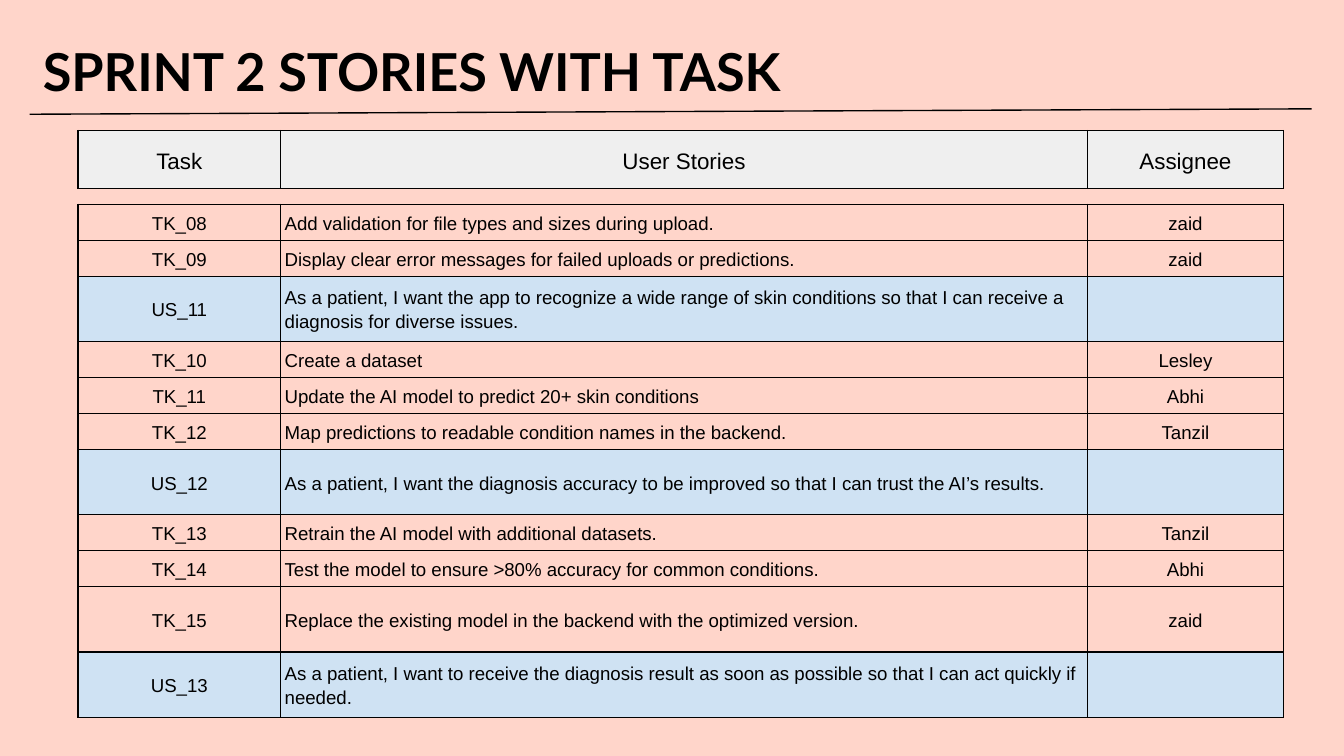
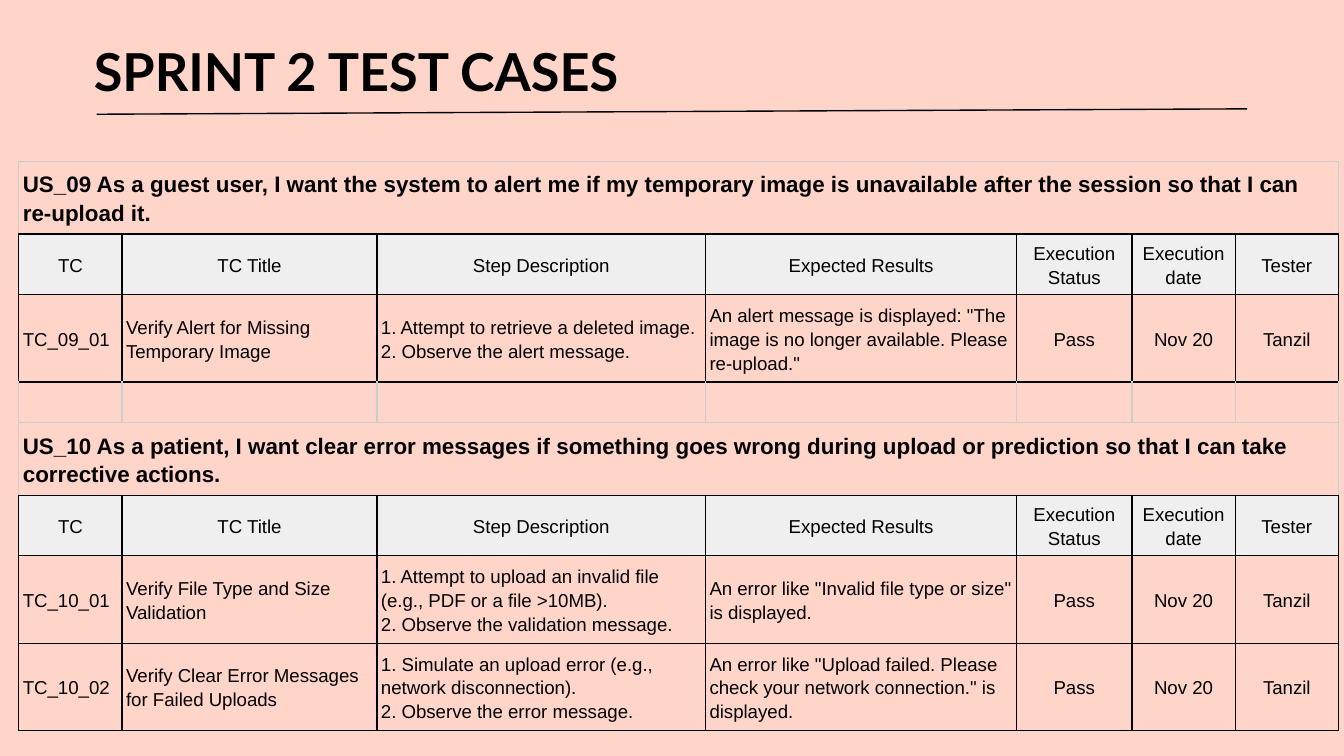
from dataclasses import dataclass

from lxml import etree
from pptx import Presentation
from pptx import util as u
from pptx.dml import color as dml
from pptx.enum import shapes, text
from pptx.oxml import ns

COLORS = {
    "background": "FFD5CA",
    "ink": "000000",
    "header": "EFEFEF",
    "story": "CFE2F3",
    "faint": "CCCCCC",
}
TITLE_FONT, BODY_FONT = "Lato", "Arial"
LINE_WIDTH = u.Pt(0.75)
CENTER, LEFT = text.PP_ALIGN.CENTER, text.PP_ALIGN.LEFT


@dataclass(frozen=True)
class RowStyle:
    height: float  # share of the table height
    fill: str = ""
    size: int = 10
    bold: bool = False
    centered: bool = False
    merged: bool = False
    faint_sides: str = ""  # sides among L, R, T, B drawn in the faint colour


@dataclass(frozen=True)
class Row:
    style: RowStyle
    values: tuple[str, ...] = ()


@dataclass(frozen=True)
class Grid:
    left: float
    top: float
    width: float
    height: float
    column_shares: tuple[float, ...]
    left_columns: tuple[int, ...]
    rows: tuple[Row, ...]


@dataclass(frozen=True)
class Heading:
    label: str
    left: float
    rule_start: float
    rule_end: float


def rgb(name: str) -> dml.RGBColor:
    return dml.RGBColor.from_string(COLORS[name])


def add_run(paragraph, content: str, font: str, size: int, bold: bool) -> None:
    run = paragraph.add_run()
    run.text = content
    run.font.name = font
    run.font.size = u.Pt(size)
    run.font.bold = bold
    run.font.color.rgb = rgb("ink")


def add_heading(slide, heading: Heading) -> None:
    box = slide.shapes.add_textbox(
        u.Inches(heading.left), u.Inches(0.19), u.Inches(8.43), u.Inches(0.63))
    frame = box.text_frame
    frame.word_wrap = True
    frame.margin_left = frame.margin_right = u.Inches(0.1)
    frame.margin_top = frame.margin_bottom = u.Inches(0.1)
    add_run(frame.paragraphs[0], heading.label, TITLE_FONT, 28, True)

    rule = slide.shapes.add_connector(
        shapes.MSO_CONNECTOR.STRAIGHT,
        u.Inches(heading.rule_start), u.Inches(0.85),
        u.Inches(heading.rule_end), u.Inches(0.81))
    rule.line.color.rgb = rgb("ink")
    rule.line.width = LINE_WIDTH
    etree.SubElement(rule._element.spPr, ns.qn("a:effectLst"))


def set_borders(cell, faint_sides: str) -> None:
    properties = cell._tc.get_or_add_tcPr()
    for index, side in enumerate("LRTB"):
        line = etree.Element(ns.qn(f"a:ln{side}"), w=str(int(LINE_WIDTH)))
        fill = etree.SubElement(line, ns.qn("a:solidFill"))
        name = "faint" if side in faint_sides else "ink"
        etree.SubElement(fill, ns.qn("a:srgbClr"), val=COLORS[name])
        properties.insert(index, line)


def fill_cell(cell, content: str, style: RowStyle, centered: bool) -> None:
    cell.vertical_anchor = text.MSO_ANCHOR.MIDDLE
    cell.margin_left = cell.margin_right = u.Inches(0.03)
    cell.margin_top = cell.margin_bottom = u.Inches(0.02)
    if style.fill:
        cell.fill.solid()
        cell.fill.fore_color.rgb = rgb(style.fill)
    else:
        cell.fill.background()
    set_borders(cell, style.faint_sides)

    frame = cell.text_frame
    for index, line in enumerate(content.split("\n")):
        paragraph = frame.add_paragraph() if index else frame.paragraphs[0]
        paragraph.alignment = CENTER if centered else LEFT
        paragraph.line_spacing = 1.15
        if line:
            add_run(paragraph, line, BODY_FONT, style.size, style.bold)
        else:
            # Keep an empty cell from growing its row
            end = etree.SubElement(paragraph._p, ns.qn("a:endParaRPr"))
            end.set("sz", str(style.size * 100))


def add_grid(slide, grid: Grid) -> None:
    columns = len(grid.column_shares)
    table = slide.shapes.add_table(
        len(grid.rows), columns, u.Inches(grid.left), u.Inches(grid.top),
        u.Inches(grid.width), u.Inches(grid.height)).table
    table.first_row = table.horz_banding = False

    # Shares fill the table's exact width and height
    across = grid.width / sum(grid.column_shares)
    down = grid.height / sum(row.style.height for row in grid.rows)
    for column, share in zip(table.columns, grid.column_shares):
        column.width = u.Inches(share * across)
    for row_index, row in enumerate(grid.rows):
        style = row.style
        table.rows[row_index].height = u.Inches(style.height * down)
        values = row.values + ("",) * (columns - len(row.values))
        for column_index, value in enumerate(values):
            centered = style.centered or column_index not in grid.left_columns
            fill_cell(table.cell(row_index, column_index), value, style, centered)
        if style.merged:
            table.cell(row_index, 0).merge(table.cell(row_index, columns - 1))


# Row styles
TASK_HEADER = RowStyle(0.43, fill="header", size=12, centered=True)
TASK = RowStyle(0.27)
TALL_TASK = RowStyle(0.49)
STORY = RowStyle(0.49, fill="story")
CASE_STORY = RowStyle(0.54, size=12, bold=True, merged=True, faint_sides="LRT")
CASE_HEADER = RowStyle(0.45, fill="header", centered=True)
CASE = RowStyle(0.65)
SPACER = RowStyle(0.3, faint_sides="LRB")

# Slide 1: stories and tasks
TASK_HEADING = Heading("SPRINT 2 STORIES WITH TASK", 0.22, 0.22, 9.76)
TASK_COLUMNS = (1.51, 6.01, 1.46)
TASK_TITLES = Grid(0.58, 0.97, 8.97, 0.43, TASK_COLUMNS, (), (
    Row(TASK_HEADER, ("Task", "User Stories", "Assignee")),
))
TASK_LIST = Grid(0.58, 1.52, 8.97, 3.82, TASK_COLUMNS, (1,), (
    Row(TASK, ("TK_08", "Add validation for file types and sizes during upload.", "zaid")),
    Row(TASK, ("TK_09", "Display clear error messages for failed uploads or predictions.",
               "zaid")),
    Row(STORY, ("US_11", "As a patient, I want the app to recognize a wide range of skin "
                "conditions so that I can receive a diagnosis for diverse issues.")),
    Row(TASK, ("TK_10", "Create a dataset", "Lesley")),
    Row(TASK, ("TK_11", "Update the AI model to predict 20+ skin conditions", "Abhi")),
    Row(TASK, ("TK_12", "Map predictions to readable condition names in the backend.",
               "Tanzil")),
    Row(STORY, ("US_12", "As a patient, I want the diagnosis accuracy to be improved "
                "so that I can trust the AI’s results.")),
    Row(TASK, ("TK_13", "Retrain the AI model with additional datasets.", "Tanzil")),
    Row(TASK, ("TK_14", "Test the model to ensure >80% accuracy for common conditions.",
               "Abhi")),
    Row(TALL_TASK, ("TK_15", "Replace the existing model in the backend with the "
                    "optimized version.", "zaid")),
    Row(STORY, ("US_13", "As a patient, I want to receive the diagnosis result as soon as "
                "possible so that I can act quickly if needed.")),
))

# Slide 2: test cases
CASE_HEADING = Heading("SPRINT 2 TEST CASES", 0.6, 0.72, 9.28)
CASE_COLUMNS = (0.77, 1.9, 2.45, 2.32, 0.86, 0.77, 0.77)
CASE_TITLES = Row(CASE_HEADER, (
    "TC", "TC Title", "Step Description", "Expected Results",
    "Execution Status", "Execution date", "Tester"))
OUTCOME = ("Pass", "Nov 20", "Tanzil")
CASE_LIST = Grid(0.14, 1.2, 9.82, 4.24, CASE_COLUMNS, (0, 1, 2, 3), (
    Row(CASE_STORY, ("US_09 As a guest user, I want the system to alert me if my temporary "
                     "image is unavailable after the session so that I can re-upload it.",)),
    CASE_TITLES,
    Row(CASE, ("TC_09_01", "Verify Alert for Missing Temporary Image",
               "1. Attempt to retrieve a deleted image.\n2. Observe the alert message.",
               'An alert message is displayed: "The image is no longer available. '
               'Please re-upload."') + OUTCOME),
    Row(SPACER),
    Row(CASE_STORY, ("US_10 As a patient, I want clear error messages if something goes wrong "
                     "during upload or prediction so that I can take corrective actions.",)),
    CASE_TITLES,
    Row(CASE, ("TC_10_01", "Verify File Type and Size Validation",
               "1. Attempt to upload an invalid file (e.g., PDF or a file >10MB).\n"
               "2. Observe the validation message.",
               'An error like "Invalid file type or size" is displayed.') + OUTCOME),
    Row(CASE, ("TC_10_02", "Verify Clear Error Messages for Failed Uploads",
               "1. Simulate an upload error (e.g., network disconnection).\n"
               "2. Observe the error message.",
               'An error like "Upload failed. Please check your network connection." '
               'is displayed.') + OUTCOME),
))


def add_slide(presentation, heading: Heading, grids: tuple[Grid, ...]) -> None:
    slide = presentation.slides.add_slide(presentation.slide_layouts[6])
    slide.background.fill.solid()
    slide.background.fill.fore_color.rgb = rgb("background")
    add_heading(slide, heading)
    for grid in grids:
        add_grid(slide, grid)


def main() -> None:
    presentation = Presentation()
    presentation.slide_width = u.Inches(10)
    presentation.slide_height = u.Inches(10 * 9 / 16)
    add_slide(presentation, TASK_HEADING, (TASK_TITLES, TASK_LIST))
    add_slide(presentation, CASE_HEADING, (CASE_LIST,))
    presentation.save("out.pptx")


if __name__ == "__main__":
    main()
